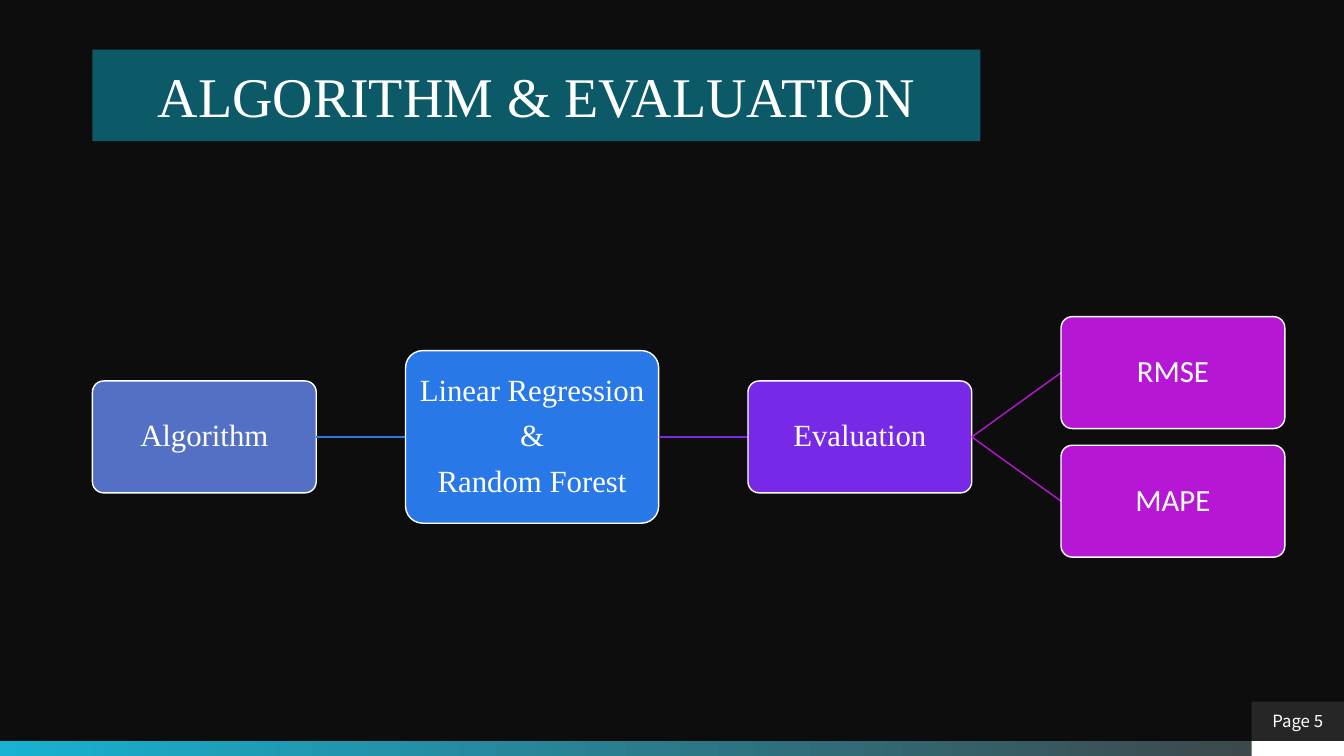
from lxml import etree
from pptx import Presentation
from pptx import util as u
from pptx.dml.color import RGBColor
from pptx.enum import shapes, text
from pptx.oxml.ns import qn

COLORS = {
    "background": "0D0D0D", "white": "FFFFFF", "title": "0C5968",
    "badge": "262626", "strip start": "17B2D1", "strip end": "404040",
    "algorithm": "5370C5", "models": "2978E7",
    "evaluation": "7829E7", "metric": "B517D5",
}
SERIF, SANS, BADGE_FONT = "Times New Roman", "Calibri", "Noto Sans CJK TC"
TITLE = "ALGORITHM & EVALUATION"
PAGE_LABEL = "Page 5"
SMALL, LARGE = (5.64, 2.82), (6.38, 4.35)
STAGES = [
    [(["Algorithm"], "algorithm", SERIF, SMALL)],
    [(["Linear Regression", "&", "Random Forest"], "models", SERIF, LARGE)],
    [(["Evaluation"], "evaluation", SERIF, SMALL)],
    [(["RMSE"], "metric", SANS, SMALL), (["MAPE"], "metric", SANS, SMALL)],
]
SLIDE_WIDTH, SLIDE_HEIGHT = 33.87, 19.05
LEFT, MIDDLE = 2.33, 11.01
COLUMN_GAP, ROW_PITCH = 2.25, 3.24
STRIP_HEIGHT, BADGE_WIDTH, BADGE_HEIGHT = 0.38, 2.33, 0.99
RECTANGLE = shapes.MSO_SHAPE.RECTANGLE
ROUNDED = shapes.MSO_SHAPE.ROUNDED_RECTANGLE


def color(name):
    return RGBColor.from_string(COLORS[name])


def add_box(page, kind, left, top, width, height, fill):
    box = page.shapes.add_shape(kind, *map(u.Cm, (left, top, width, height)))
    box.shadow.inherit = False
    box.fill.solid()
    box.fill.fore_color.rgb = color(fill)
    box.line.fill.background()
    return box


def write(box, lines, font, size, margin, line_spacing=1.0, space_after=0):
    frame = box.text_frame
    frame.word_wrap = True
    frame.vertical_anchor = text.MSO_ANCHOR.MIDDLE
    frame.margin_left = frame.margin_right = u.Cm(margin)
    frame.margin_top = frame.margin_bottom = u.Cm(margin)
    for index, line in enumerate(lines):
        para = frame.add_paragraph() if index else frame.paragraphs[0]
        para.alignment = text.PP_ALIGN.CENTER
        para.line_spacing = line_spacing
        para.space_after = u.Pt(space_after)
        span = para.add_run()
        span.text = line
        span.font.name = font
        span.font.size = u.Pt(size)
        span.font.color.rgb = color("white")


def add_link(page, start, end, line_color):
    link = page.shapes.add_connector(
        shapes.MSO_CONNECTOR.STRAIGHT, *map(u.Cm, (*start, *end)))
    link.line.color.rgb = color(line_color)
    link.line.width = u.Pt(1)
    etree.SubElement(link._element.spPr, qn("a:effectLst"))


def add_footer(page):
    strip_top = SLIDE_HEIGHT - STRIP_HEIGHT
    badge_left = SLIDE_WIDTH - BADGE_WIDTH
    strip = add_box(page, RECTANGLE, 0, strip_top, SLIDE_WIDTH, STRIP_HEIGHT, "strip start")
    strip.fill.gradient()
    strip.fill.gradient_angle = 0
    for stop, name in zip(strip.fill.gradient_stops, ("strip start", "strip end")):
        stop.color.rgb = color(name)
    add_box(page, RECTANGLE, badge_left, strip_top, BADGE_WIDTH, STRIP_HEIGHT, "white")
    badge = add_box(page, RECTANGLE, badge_left, strip_top - BADGE_HEIGHT,
                    BADGE_WIDTH, BADGE_HEIGHT, "badge")
    write(badge, [PAGE_LABEL], BADGE_FONT, 12, 0.1)


def add_flow(page):
    left, source = LEFT, None
    for stage in STAGES:
        first_center = MIDDLE - ROW_PITCH * (len(stage) - 1) / 2
        for row, (lines, fill, font, (width, height)) in enumerate(stage):
            center = first_center + row * ROW_PITCH
            if source:
                add_link(page, source, (left, center), fill)
            box = add_box(page, ROUNDED, left, center - height / 2, width, height, fill)
            box.adjustments[0] = 0.1
            box.line.color.rgb = color("white")
            box.line.width = u.Pt(1)
            write(box, lines, font, 22, 0.15, 0.9, 8.7)
        source = (left + width, MIDDLE)
        left += width + COLUMN_GAP


def main():
    deck = Presentation()
    deck.slide_width, deck.slide_height = u.Cm(SLIDE_WIDTH), u.Cm(SLIDE_HEIGHT)
    page = deck.slides.add_slide(deck.slide_layouts[6])
    page.background.fill.solid()
    page.background.fill.fore_color.rgb = color("background")
    add_footer(page)
    add_flow(page)
    title = add_box(page, RECTANGLE, LEFT, 1.25, 22.38, 2.31, "title")
    write(title, [TITLE], SERIF, 40, 0.25)
    deck.save("out.pptx")


if __name__ == "__main__":
    main()
